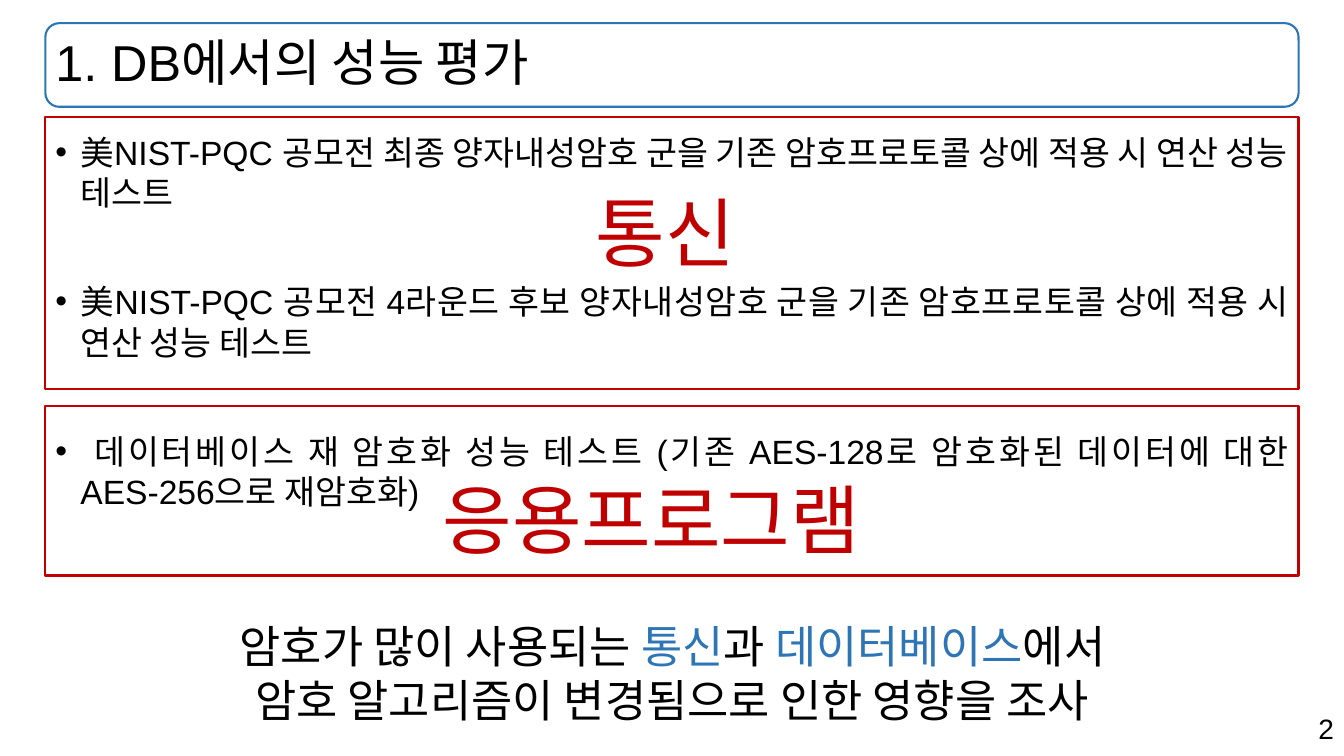
"""Build the slide on performance evaluation of cryptography in databases."""
import pptx
import pptx.util
import pptx.dml.color
import pptx.enum.shapes
import pptx.enum.text
import lxml.etree

Inches, Pt = pptx.util.Inches, pptx.util.Pt
ALIGN = pptx.enum.text.PP_ALIGN
SHAPE = pptx.enum.shapes.MSO_SHAPE

THEME = {
    "font": "Arial", "text": "000000", "blue": "2E75B6", "red": "C00000",
    "title": 36, "body": 24, "label": 54, "summary": 32, "number": 20,
    "outline": 1.5,
}

TITLE = "1. DB에서의 성능 평가"
TESTS = [
    "美NIST-PQC 공모전 최종 양자내성암호 군을 기존 암호프로토콜 상에 적용 시 연산 성능 테스트",
    "美NIST-PQC 공모전 4라운드 후보 양자내성암호 군을 기존 암호프로토콜 상에 적용 시 연산 성능 테스트",
    " 데이터베이스 재 암호화 성능 테스트 (기존 AES-128로 암호화된 데이터에 대한 AES-256으로 재암호화)",
]
SUMMARY = [
    [("암호가 많이 사용되는 ", "text"), ("통신", "blue"), ("과 ", "text"),
     ("데이터베이스", "blue"), ("에서", "text")],
    [("암호 알고리즘이 변경됨으로 인한 영향을 조사", "text")],
]
PAGE_NUMBER = "2"

LEFT, WIDTH = 0.45, 12.43
TITLE_AREA = (LEFT, 0.23, WIDTH, 0.83)
TEST_AREA = (LEFT, 1.26, WIDTH, 5.53)
SUMMARY_AREA = (1.83, 6.09, 9.68, 1.18)
NUMBER_AREA = (9.43, 7.01, 3.9, 0.44)
GROUPS = [
    ("통신", (LEFT, 1.16, WIDTH, 2.7), (5.81, 1.79, 1.72, 1.01)),
    ("응용프로그램", (LEFT, 4.03, WIDTH, 1.68), (4.29, 4.64, 4.75, 1.01)),
]
BULLET_INDENT = 0.25
TEST_GAP = 49


def color(name):
    return pptx.dml.color.RGBColor.from_string(THEME[name])


def style(font, size, color_name="text"):
    font.name = THEME["font"]
    font.size = Pt(THEME[size])
    font.color.rgb = color(color_name)


def add_outline(slide, preset, area, color_name):
    outline = slide.shapes.add_shape(preset, *map(Inches, area))
    outline.shadow.inherit = False
    outline.fill.background()
    outline.line.color.rgb = color(color_name)
    outline.line.width = Pt(THEME["outline"])


def add_frame(slide, area, wrap=True, grow=False):
    frame = slide.shapes.add_textbox(*map(Inches, area)).text_frame
    frame.word_wrap = wrap
    if grow:
        frame.auto_size = pptx.enum.text.MSO_AUTO_SIZE.SHAPE_TO_FIT_TEXT
    return frame


def add_line(frame, text, size, color_name="text", align=None):
    line = frame.paragraphs[0]
    line.text = text
    line.alignment = align
    style(line.runs[0].font, size, color_name)
    return line


def add_tests(slide):
    frame = add_frame(slide, TEST_AREA)
    for index, test in enumerate(TESTS):
        item = frame.add_paragraph() if index else frame.paragraphs[0]
        item.text = test
        item.alignment = ALIGN.JUSTIFY
        if index:
            item.space_before = Pt(TEST_GAP)
        properties = item._p.get_or_add_pPr()
        properties.set("marL", str(Inches(BULLET_INDENT)))
        properties.set("indent", str(-Inches(BULLET_INDENT)))
        namespace = properties.nsmap["a"]
        bullet_font = lxml.etree.SubElement(properties, f"{{{namespace}}}buFont")
        bullet_font.set("typeface", THEME["font"])
        bullet = lxml.etree.SubElement(properties, f"{{{namespace}}}buChar")
        bullet.set("char", "•")
        style(item.runs[0].font, "body")


def add_summary(slide):
    summary = add_frame(slide, SUMMARY_AREA, wrap=False, grow=True).paragraphs[0]
    summary.alignment = ALIGN.CENTER
    for index, phrases in enumerate(SUMMARY):
        if index:
            summary.add_line_break()
        for text, color_name in phrases:
            phrase = summary.add_run()
            phrase.text = text
            style(phrase.font, "summary", color_name)


def main():
    deck = pptx.Presentation()
    deck.slide_width, deck.slide_height = Inches(13.33), Inches(7.5)
    slide = deck.slides.add_slide(deck.slide_layouts[6])

    number = add_frame(slide, NUMBER_AREA, grow=True)
    add_line(number, PAGE_NUMBER, "number", align=ALIGN.RIGHT)

    add_outline(slide, SHAPE.ROUNDED_RECTANGLE, TITLE_AREA, "blue")
    title = add_frame(slide, TITLE_AREA)
    title.vertical_anchor = pptx.enum.text.MSO_ANCHOR.MIDDLE
    add_line(title, TITLE, "title").line_spacing = 0.9

    add_tests(slide)
    add_summary(slide)
    for label, box_area, label_area in GROUPS:
        add_outline(slide, SHAPE.RECTANGLE, box_area, "red")
        add_line(add_frame(slide, label_area, wrap=False, grow=True), label, "label", "red")

    deck.save("out.pptx")


if __name__ == "__main__":
    main()
